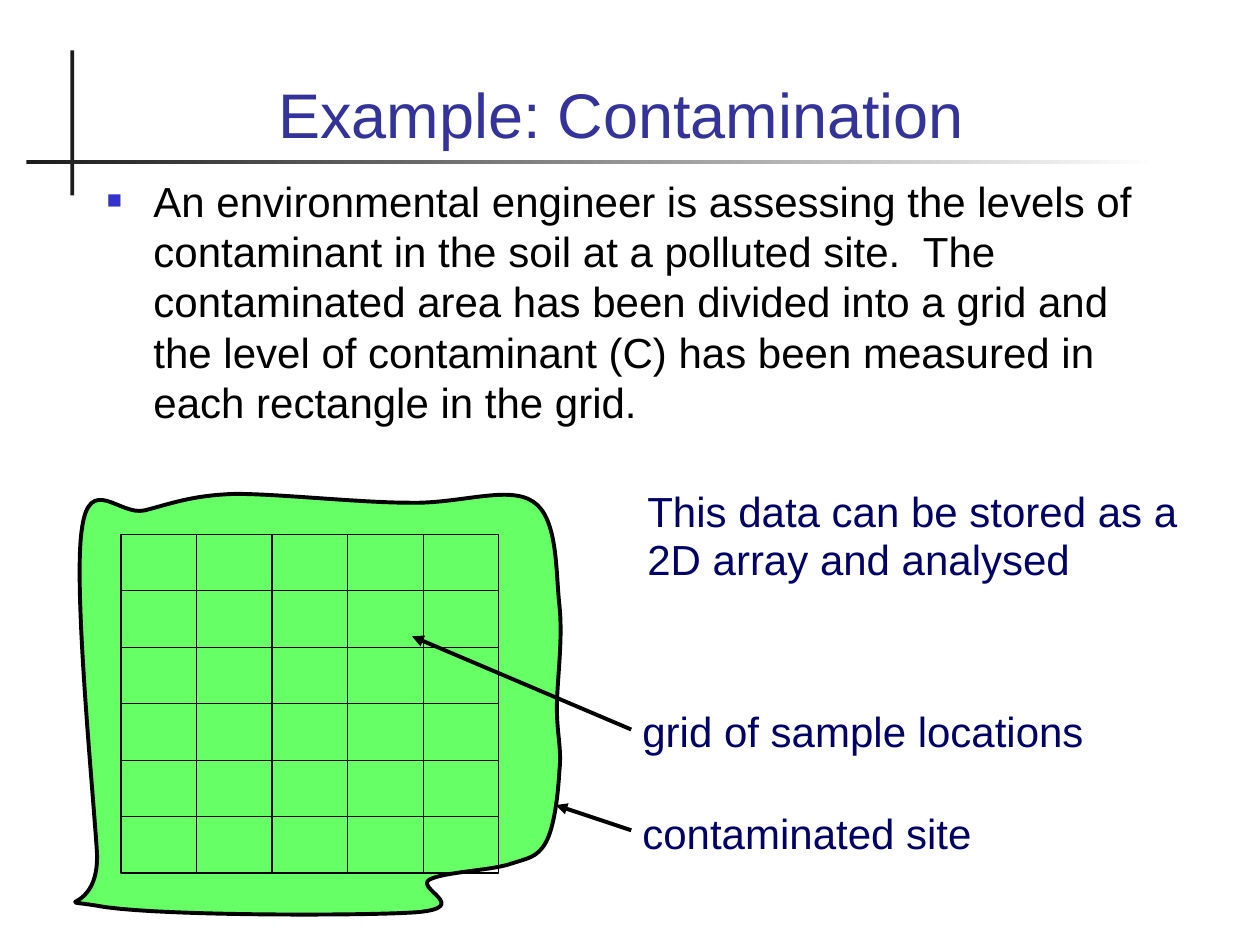
from pptx import Presentation
from pptx.dml.color import RGBColor
from pptx.enum.dml import MSO_LINE
from pptx.enum.shapes import MSO_CONNECTOR, MSO_SHAPE
from pptx.enum.text import MSO_ANCHOR, MSO_AUTO_SIZE, PP_ALIGN
from pptx.oxml.ns import qn
from pptx.util import Inches, Pt
from lxml.etree import SubElement

COLORS = {"title": "333399", "body": "000000", "label": "000066", "bullet": "3333CC",
          "site": "66FF66", "line": "000000", "bar": "1C1C1C", "fade": "FFFFFF"}
TITLE = "Example: Contamination "
TITLE_BOX = (0.75, 0.44, 8.5, 0.81)
BODY = ("An environmental engineer is assessing the levels of contaminant in the soil at a "
        "polluted site.  The contaminated area has been divided into a grid and the level of "
        "contaminant (C) has been measured in each rectangle in the grid.")
BODY_BOX = (0.75, 1.34, 8.5, 2.41)
STORAGE = "This data can be stored as a 2D array and analysed"
STORAGE_BOX = (4.66, 3.75, 5.03, 1.18)
LABELS = [("grid of sample locations", (5, 5.55, 4.31, 0.5)),
          ("contaminated site", (5, 6.36, 3.44, 0.5))]
ARROWS = [((5.01, 5.79), (3.27, 5.05)), ((5.01, 6.59), (4.41, 6.39))]
VERTICAL_BAR = (0.56, 0.4, 0.03, 1.15)
HORIZONTAL_BAR = (0.21, 1.27, 8.99, 0.03)
GRID = {"left": 0.96, "top": 4.24, "width": 3, "height": 2.69, "columns": 5, "rows": 6}
SITE_START = (1.15, 4.05)
SITE_CURVES = [
    ((1.35, 4), (1.52, 3.93), (1.87, 3.92)),
    ((2.22, 3.92), (2.86, 3.99), (3.25, 3.99)),
    ((3.65, 4), (4.03, 3.85), (4.23, 3.98)),
    ((4.43, 4.11), (4.41, 4.53), (4.44, 4.8)),
    ((4.47, 5.08), (4.42, 5.4), (4.42, 5.62)),
    ((4.42, 5.83), (4.46, 5.94), (4.44, 6.12)),
    ((4.43, 6.3), (4.4, 6.57), (4.33, 6.69)),
    ((4.26, 6.81), (4.19, 6.81), (4.04, 6.86)),
    ((3.88, 6.91), (3.53, 6.92), (3.41, 6.98)),
    ((3.29, 7.05), (3.75, 7.2), (3.31, 7.24)),
    ((2.88, 7.27), (1.21, 7.27), (0.78, 7.19)),
    ((0.36, 7.12), (0.79, 7.27), (0.77, 6.77)),
    ((0.74, 6.28), (0.58, 4.66), (0.65, 4.2)),
    ((0.71, 3.75), (0.95, 4.1), SITE_START),
]


def color(name):
    return RGBColor.from_string(COLORS[name])


def set_values(target, values):
    for name, value in values.items():
        setattr(target, name, value)


def place(shape, box):
    set_values(shape, dict(zip(("left", "top", "width", "height"), map(Inches, box))))


def write_run(paragraph, text, size, color_name):
    run = paragraph.add_run()
    run.text = text
    set_values(run.font, {"name": "Arial", "size": Pt(size), "bold": False})
    run.font.color.rgb = color(color_name)


def add_text(slide, box):
    shape = slide.shapes.add_textbox(*map(Inches, box))
    set_values(shape.text_frame, {"word_wrap": True, "auto_size": MSO_AUTO_SIZE.NONE})
    return shape.text_frame.paragraphs[0]


def set_indent(paragraph, margin, first_line):
    properties = paragraph._p.get_or_add_pPr()
    properties.set("marL", str(Inches(margin)))
    properties.set("indent", str(Inches(first_line)))
    return properties


def add_bullet(properties):
    bullet_color = SubElement(properties, qn("a:buClr"))
    SubElement(bullet_color, qn("a:srgbClr"), val=COLORS["bullet"])
    SubElement(properties, qn("a:buSzPct"), val="60000")
    SubElement(properties, qn("a:buFont"), typeface="Arial")
    SubElement(properties, qn("a:buChar"), char="■")


def add_rectangle(parent, box):
    shape = parent.shapes.add_shape(MSO_SHAPE.RECTANGLE, *map(Inches, box))
    shape.shadow.inherit = False
    return shape


def set_line(line, width):
    line.color.rgb = color("line")
    set_values(line, {"width": Pt(width), "dash_style": MSO_LINE.SOLID})


def add_bars(slide):
    group = slide.shapes.add_group_shape()
    vertical = add_rectangle(group, VERTICAL_BAR)
    vertical.fill.solid()
    vertical.fill.fore_color.rgb = color("bar")
    horizontal = add_rectangle(group, HORIZONTAL_BAR)
    horizontal.fill.gradient()
    horizontal.fill.gradient_angle = 0
    for stop, name in zip(horizontal.fill.gradient_stops, ("bar", "fade")):
        stop.color.rgb = color(name)
    for bar in (vertical, horizontal):
        bar.line.fill.background()


def bend_segments(shape):
    segments = list(shape._element.iter(qn("a:lnTo")))
    for first, second, end in zip(segments[::3], segments[1::3], segments[2::3]):
        first.tag = qn("a:cubicBezTo")
        for segment in (second, end):
            first.append(segment[0])
            segment.getparent().remove(segment)


def add_site(slide):
    builder = slide.shapes.build_freeform(*map(Inches, SITE_START))
    points = [tuple(map(Inches, point)) for curve in SITE_CURVES for point in curve]
    builder.add_line_segments(points, close=True)
    site = builder.convert_to_shape()
    bend_segments(site)
    site.shadow.inherit = False
    site.fill.solid()
    site.fill.fore_color.rgb = color("site")
    set_line(site.line, 2.25)


def add_grid(slide):
    group = slide.shapes.add_group_shape()
    width, height = GRID["width"] / GRID["columns"], GRID["height"] / GRID["rows"]
    for row in range(GRID["rows"]):
        for column in range(GRID["columns"]):
            cell = add_rectangle(group, (GRID["left"] + column * width,
                                         GRID["top"] + row * height, width, height))
            cell.fill.background()
            set_line(cell.line, 0.75)


def add_arrow(slide, start, end):
    arrow = slide.shapes.add_connector(MSO_CONNECTOR.STRAIGHT, *map(Inches, start + end))
    set_line(arrow.line, 2.25)
    SubElement(arrow.line._get_or_add_ln(), qn("a:tailEnd"), type="triangle")
    SubElement(arrow._element.spPr, qn("a:effectLst"))


def main():
    """Build the contamination example slide."""
    presentation = Presentation()
    set_values(presentation, {"slide_width": Inches(10), "slide_height": Inches(7.5)})
    slide = presentation.slides.add_slide(presentation.slide_layouts[5])
    add_bars(slide)
    add_site(slide)

    title = slide.shapes.title
    place(title, TITLE_BOX)
    set_values(title.text_frame, {"vertical_anchor": MSO_ANCHOR.BOTTOM, "word_wrap": True,
                                  "auto_size": MSO_AUTO_SIZE.NONE})
    heading = title.text_frame.paragraphs[0]
    heading.alignment = PP_ALIGN.CENTER
    write_run(heading, TITLE, 36, "title")

    body = add_text(slide, BODY_BOX)
    add_bullet(set_indent(body, 0.37, -0.37))
    write_run(body, BODY, 24, "body")

    storage = add_text(slide, STORAGE_BOX)
    storage.line_spacing = 0.9
    set_indent(storage, 0.38, -0.37)
    write_run(storage, "\t", 32, "label")
    write_run(storage, STORAGE, 24, "label")

    for text, box in LABELS:
        write_run(add_text(slide, box), text, 24, "label")
    for start, end in ARROWS:
        add_arrow(slide, start, end)
    add_grid(slide)
    presentation.save("out.pptx")


if __name__ == "__main__":
    main()
